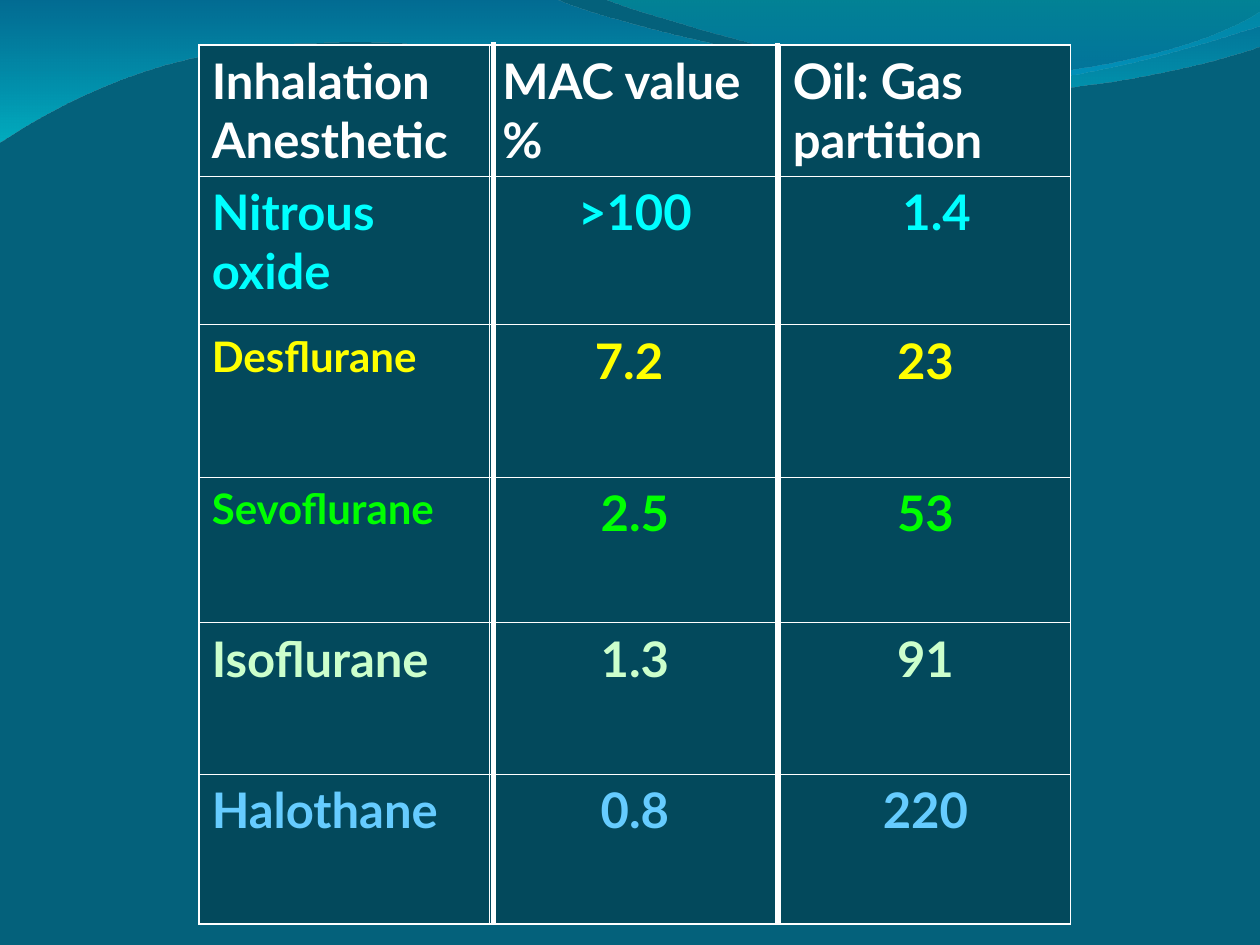
from lxml import etree
from pptx import Presentation
from pptx import util as u
from pptx.dml.color import RGBColor
from pptx.enum import shapes, text
from pptx.oxml import ns

WHITE = RGBColor(0xFF, 0xFF, 0xFF)
BACKDROP = RGBColor(0x04, 0x61, 0x7B)
CELL = RGBColor(0x03, 0x49, 0x5C)
CYAN = RGBColor(0x00, 0xFF, 0xFF)
YELLOW = RGBColor(0xFF, 0xFF, 0x00)
GREEN = RGBColor(0x00, 0xFF, 0x00)
MINT = RGBColor(0xCC, 0xFF, 0xCC)
SKY = RGBColor(0x66, 0xCC, 0xFF)
WAVE_BLUE = RGBColor(0x00, 0x79, 0xAF)
WAVE_AQUA = RGBColor(0x00, 0xEB, 0xF8)
WAVE_TEAL = RGBColor(0x00, 0xAD, 0xB6)
WAVE_AZURE = RGBColor(0x00, 0x9B, 0xE5)

THIN, EDGE = 0.45, 1.08


def write(frame, words, size=28, color=WHITE, align=text.PP_ALIGN.LEFT, font="Lato"):
    para = frame.paragraphs[0]
    para.alignment = align
    span = para.add_run()
    span.text = words
    span.font.name, span.font.size, span.font.bold = font, u.Pt(size), True
    span.font.color.rgb = color


class Painter:
    def __init__(self, slide):
        self.slide = slide

    def background(self, color):
        fill = self.slide.background.fill
        fill.solid()
        fill.fore_color.rgb = color

    def wave(self, start, parts, stops):
        """Each part is one point (a straight line) or three (a curve)."""
        builder = self.slide.shapes.build_freeform(*map(u.Pt, start))
        builder.add_line_segments([(u.Pt(x), u.Pt(y)) for part in parts for x, y in part])
        shape = builder.convert_to_shape()
        self.bend(shape, parts)
        shape.shadow.inherit = False
        shape.line.fill.background()
        shape.fill.gradient()
        shape.fill.gradient_angle = 270
        for stop, (position, color, opacity) in zip(shape.fill.gradient_stops, stops):
            stop.position = position
            stop.color.rgb = color
        tints = shape._element.spPr.iter(ns.qn("a:srgbClr"))
        for tint, (_, _, opacity) in zip(tints, stops):
            etree.SubElement(tint, ns.qn("a:alpha"), val=str(opacity * 1000))

    def bend(self, shape, parts):
        """Join the three lines of each curved part into one cubic curve."""
        lines = iter(list(shape._element.iter(ns.qn("a:lnTo"))))
        for part in parts:
            segments = [next(lines) for _ in part]
            if len(part) == 3:
                cubic = etree.Element(ns.qn("a:cubicBezTo"))
                segments[0].addprevious(cubic)
                for segment in segments:
                    cubic.append(segment[0])
                    segment.getparent().remove(segment)

    def border(self, cell, side, width):
        line = etree.SubElement(cell._tc.get_or_add_tcPr(), ns.qn("a:ln" + side),
                                w=str(u.Pt(width)))
        solid = etree.SubElement(line, ns.qn("a:solidFill"))
        etree.SubElement(solid, ns.qn("a:srgbClr"), val=str(WHITE))

    def table(self, left, top, column_width, heights, rows):
        row_count, column_count = len(rows), len(rows[0][0])
        table = self.slide.shapes.add_table(
            row_count, column_count, u.Pt(left), u.Pt(top),
            u.Pt(column_width * column_count), u.Pt(sum(heights))).table
        table.first_row = table.horz_banding = False
        for column in table.columns:
            column.width = u.Pt(column_width)
        for r, (words, color, name_size) in enumerate(rows):
            table.rows[r].height = u.Pt(heights[r])
            for c, value in enumerate(words):
                cell = table.cell(r, c)
                outer = {"L": c == 0, "R": c == column_count - 1,
                         "T": r == 0, "B": r == row_count - 1}
                for side, is_edge in outer.items():
                    self.border(cell, side, EDGE if is_edge else THIN)
                cell.fill.solid()
                cell.fill.fore_color.rgb = CELL
                centred = r > 0 and c > 0
                write(cell.text_frame, value, color=color,
                      size=28 if c else name_size,
                      align=text.PP_ALIGN.CENTER if centred else text.PP_ALIGN.LEFT)
        return table

    def line(self, x, top, bottom, width, color):
        line = self.slide.shapes.add_connector(
            shapes.MSO_CONNECTOR.STRAIGHT, u.Pt(x), u.Pt(top), u.Pt(x), u.Pt(bottom))
        line.line.width = u.Pt(width)
        line.line.color.rgb = color
        etree.SubElement(line._element.spPr, ns.qn("a:effectLst"))


def main():
    deck = Presentation()
    deck.slide_width, deck.slide_height = u.Pt(720), u.Pt(540)
    page = Painter(deck.slides.add_slide(deck.slide_layouts[6]))

    # Backdrop with two waves
    page.background(BACKDROP)
    page.wave((0, -0.7), [
        [(317, -0.7)],
        [(343, 12), (478, 45), (546, 45)],
        [(614, 45), (690, 27), (720, 6.5)],
        [(720.7, 26)],
        [(708, 32), (626, 55), (537, 54)],
        [(448, 54), (275, 20), (185, 24.5)],
        [(93, 25), (33, 60), (-0.7, 81.4)],
        [(0, -0.7)],
    ], [(0, WAVE_BLUE, 45), (1, WAVE_AQUA, 55)])
    page.wave((345, -0.7), [
        [(366, 8), (491, 45), (554, 47)],
        [(616, 49.7), (692, 23), (720, 15)],
        [(720, 0)],
        [(345, -0.7)],
    ], [(0, WAVE_TEAL, 45), (1, WAVE_AZURE, 30)])

    # Anesthetics: cell texts, colour, size of the name
    table = page.table(113.8, 25.7, 166, [75, 84.8, 87.2, 83.2, 86.4, 85.6], [
        (("Inhalation Anesthetic", "MAC value %", "Oil: Gas partition"), WHITE, 28),
        (("Nitrous oxide", ">100", "1.4"), CYAN, 28),
        (("Desflurane", "7.2 ", "23"), YELLOW, 24),
        (("Sevoflurane", "2.5", "53"), GREEN, 24),
        (("Isoflurane", "1.3", "91"), MINT, 28),
        (("Halothane", "0.8", "220"), SKY, 28),
    ])
    table.cell(1, 2).margin_left = u.Pt(20)  # this value sits a little to the right

    # Heavy column rules
    page.line(282, 24, 528, 3, WHITE)
    page.line(444.2, 24.5, 528.5, 3, WHITE)

    deck.save("out.pptx")


if __name__ == "__main__":
    main()
